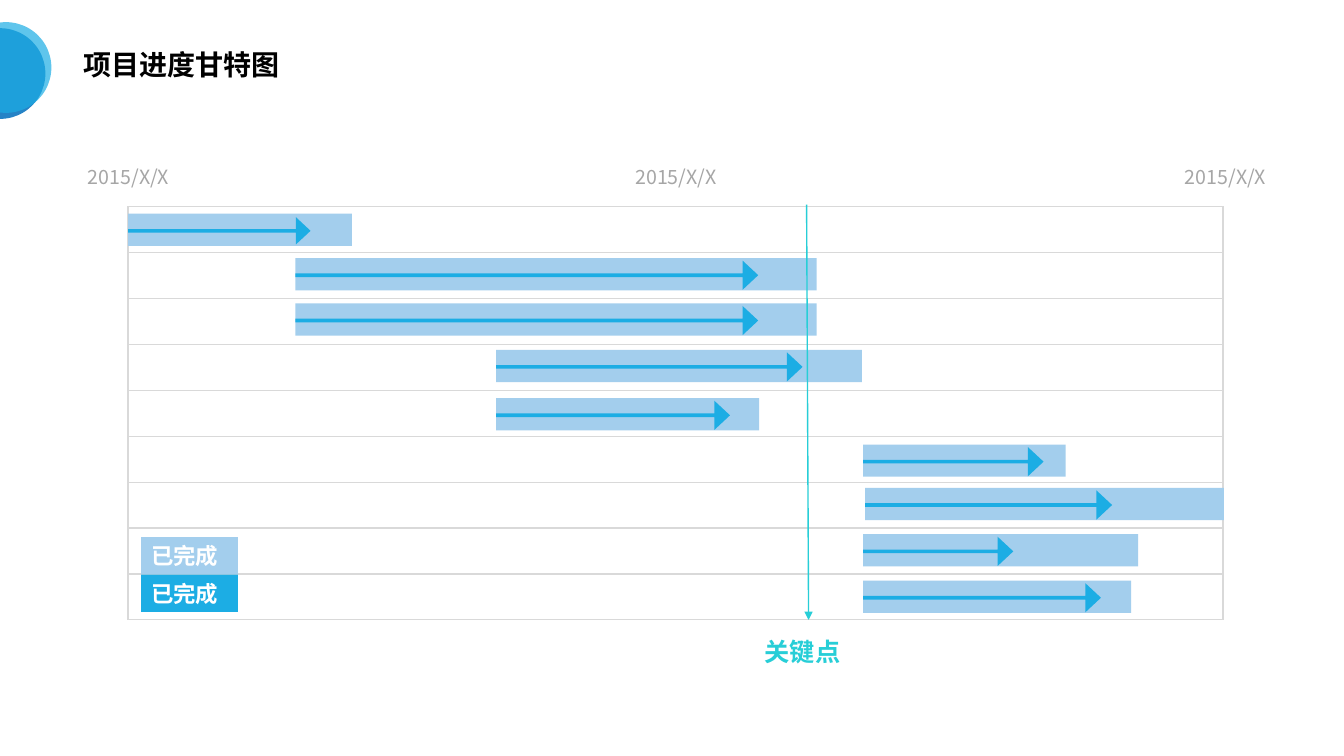
from lxml.etree import SubElement
from pptx import Presentation
from pptx.dml.color import RGBColor
from pptx.enum.shapes import MSO_CONNECTOR, MSO_SHAPE
from pptx.enum.text import MSO_ANCHOR, PP_ALIGN
from pptx.oxml.ns import qn
from pptx.util import Inches, Pt

COLORS = {
    "plan": "A3CEED", "done": "1CADE4", "deep": "2683C6", "key": "27CED7",
    "grid": "D9D9D9", "date": "A6A6A6", "title": "000000", "white": "FFFFFF",
}
FONT = "Noto Sans CJK SC"


class SlideBuilder:
    def __init__(self, slide):
        self.slide = slide

    def color(self, name):
        return RGBColor.from_string(COLORS[name])

    def shape(self, kind, box, fill, alpha=None, adjustments=(), parent=None):
        shapes = (parent or self.slide).shapes
        shape = shapes.add_shape(kind, *map(Inches, box))
        shape.shadow.inherit = False
        shape.line.fill.background()
        shape.fill.solid()
        shape.fill.fore_color.rgb = self.color(fill)
        for index, value in enumerate(adjustments):
            shape.adjustments[index] = value
        if alpha:
            tint = shape._element.spPr.find(qn("a:solidFill"))[0]
            SubElement(tint, qn("a:alpha"), val=str(alpha * 1000))
        return shape

    def add_words(self, shape, text, size, color, bold=False,
                  align=PP_ALIGN.LEFT, anchor=MSO_ANCHOR.TOP):
        frame = shape.text_frame
        frame.word_wrap = True
        frame.vertical_anchor = anchor
        paragraph = frame.paragraphs[0]
        paragraph.alignment = align
        run = paragraph.add_run()
        run.text = text
        run.font.size = Pt(size)
        run.font.bold = bold
        run.font.color.rgb = self.color(color)
        run.font.name = FONT
        SubElement(run._r.get_or_add_rPr(), qn("a:ea"), typeface=FONT)
        return paragraph

    def text(self, box, text, size, color, **style):
        shape = self.slide.shapes.add_textbox(*map(Inches, box))
        return self.add_words(shape, text, size, color, **style)

    def grid(self, box, rows):
        table = self.slide.shapes.add_table(rows, 1, *map(Inches, box)).table
        table.first_row = table.horz_banding = False
        for cell in table.iter_cells():
            cell.margin_top = cell.margin_bottom = 0
            properties = cell._tc.get_or_add_tcPr()
            for side in ("lnL", "lnR", "lnT", "lnB"):
                border = SubElement(properties, qn(f"a:{side}"), w=str(Pt(1)))
                fill = SubElement(border, qn("a:solidFill"))
                SubElement(fill, qn("a:srgbClr"), val=COLORS["grid"])
            cell.fill.background()

    def arrow_line(self, start, end, color):
        connector = self.slide.shapes.add_connector(
            MSO_CONNECTOR.STRAIGHT, *map(Inches, start + end))
        connector.line.color.rgb = self.color(color)
        connector.line.width = Pt(1)
        properties = connector._element.spPr
        SubElement(properties.find(qn("a:ln")), qn("a:tailEnd"), type="triangle")
        SubElement(properties, qn("a:effectLst"))


presentation = Presentation()
presentation.slide_width = Inches(13.33)
presentation.slide_height = Inches(7.5)
builder = SlideBuilder(presentation.slides.add_slide(presentation.slide_layouts[6]))

# Corner circles and title
builder.shape(MSO_SHAPE.OVAL, (-0.45, 0.28, 0.9, 0.9), "deep")
builder.shape(MSO_SHAPE.OVAL, (-0.39, 0.22, 0.9, 0.9), "done", alpha=70)
title = builder.text((0.73, 0.37, 4.88, 0.58), "项目进度甘特图", 20, "title",
                     bold=True, anchor=MSO_ANCHOR.MIDDLE)
title.line_spacing = 0.9
title.space_before = Pt(10)

# Row grid and dates
builder.grid((1.27, 2.05, 10.86, 4.1), 9)
for left in (0.45, 5.88, 11.33):
    builder.text((left, 1.59, 1.65, 0.34), "2015/X/X", 14, "date",
                 align=PP_ALIGN.CENTER)

# Tasks: left, top, planned length, completed length
TASKS = [
    (1.27, 2.12, 2.22, 1.81),
    (2.93, 2.56, 5.17, 4.59),
    (2.93, 3.01, 5.17, 4.59),
    (4.92, 3.47, 3.63, 3.04),
    (4.92, 3.95, 2.61, 2.32),
    (8.56, 4.41, 2.01, 1.79),
    (8.58, 4.84, 3.56, 2.45),
    (8.56, 5.3, 2.73, 1.49),
    (8.56, 5.76, 2.66, 2.36),
]
BAR_HEIGHT = 0.32
for number, (left, top, planned, completed) in enumerate(TASKS):
    height = 0.29 if number else 0.27
    builder.shape(MSO_SHAPE.RECTANGLE, (left, top, planned, BAR_HEIGHT), "plan")
    builder.shape(MSO_SHAPE.RIGHT_ARROW,
                  (left, top + (BAR_HEIGHT - height) / 2 + 0.01, completed, height),
                  "done", adjustments=(0.126, 0.535))

# Legend
legend = builder.slide.shapes.add_group_shape()
for top, fill in ((5.33, "plan"), (5.7, "done")):
    label = builder.shape(MSO_SHAPE.RECTANGLE, (1.4, top, 0.96, 0.37), fill,
                          parent=legend)
    builder.add_words(label, "已完成", 16, "white", bold=True,
                      anchor=MSO_ANCHOR.MIDDLE)

# Key point
builder.arrow_line((8, 2.03), (8.02, 6.15), "key")
builder.text((7.35, 6.26, 1.22, 0.4), "关键点", 18, "key", bold=True,
             align=PP_ALIGN.CENTER)

presentation.save("out.pptx")
